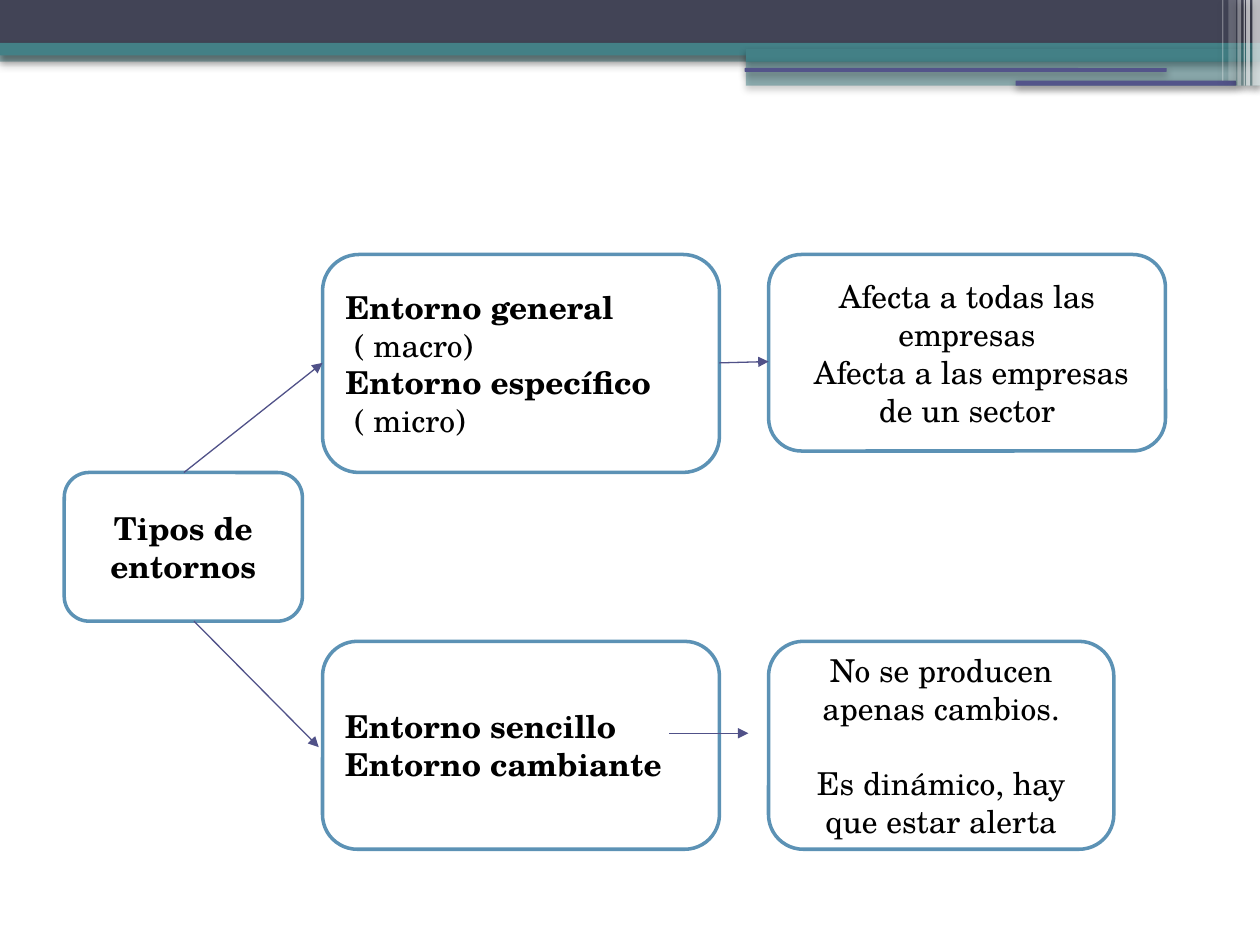
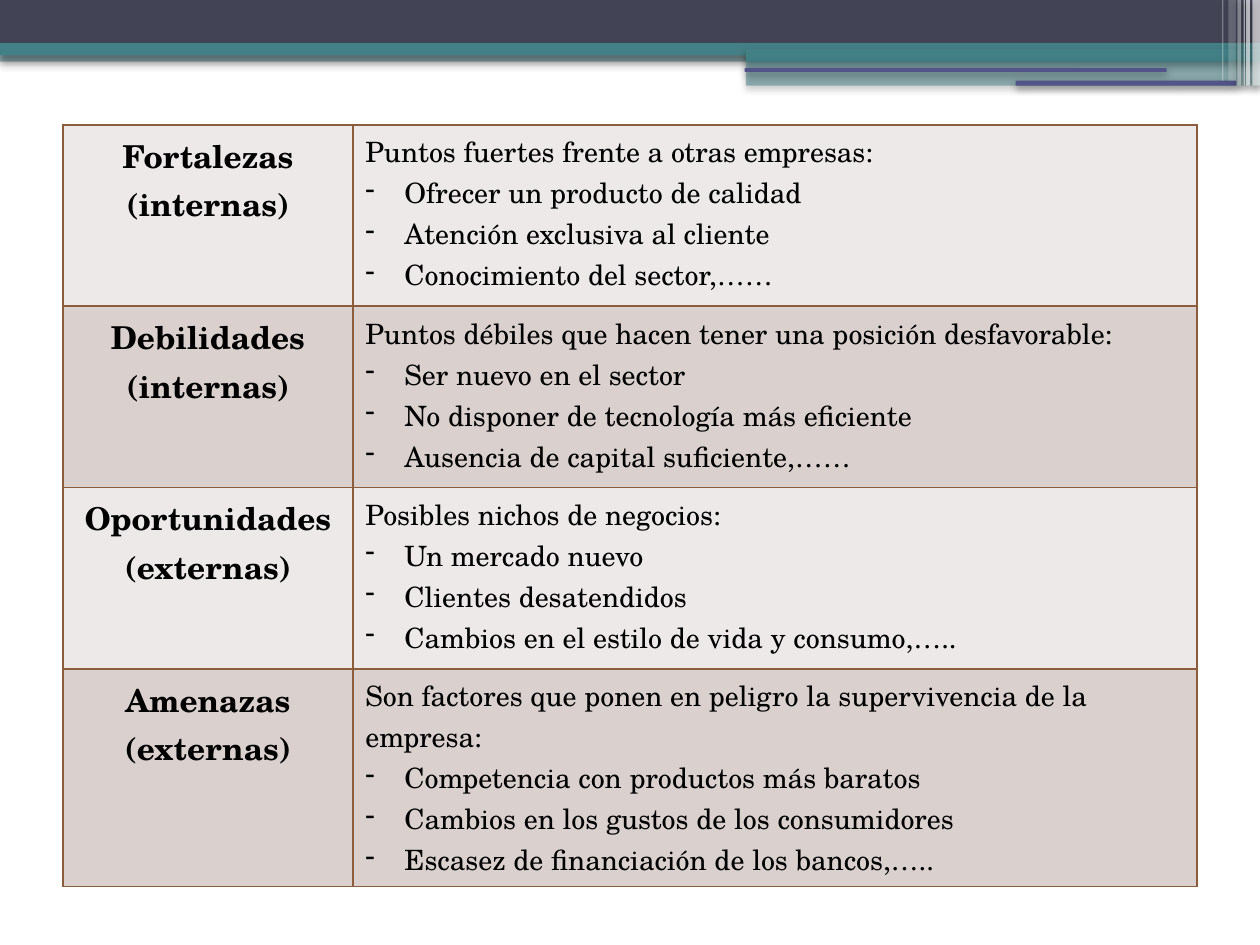
from lxml.etree import SubElement
from pptx import Presentation
from pptx.dml.color import RGBColor
from pptx.enum.shapes import MSO_CONNECTOR as Link, MSO_SHAPE as Shape
from pptx.enum.text import MSO_ANCHOR as Anchor, PP_ALIGN as Align
from pptx.oxml import parse_xml
from pptx.oxml.ns import nsdecls, qn
from pptx.util import Inches, Pt

FONT = "TeX Gyre Schola"
BLACK, WHITE = "000000", "FFFFFF"
SLATE, TEAL, PURPLE = "424456", "438086", "53548A"
BOX_LINE, ARROW, GRID = "5C92B5", "505188", "8B5D3D"
ROW_FILLS = ["EDE9E8", "DAD1CE"]

BANDS = [
    (0, 0.4, 10, 0.09, TEAL, 50),
    (0, 0, 10, 0.34, SLATE, 100),
    (0, 0.34, 10, 0.1, TEAL, 100),
    (5.92, 0.39, 4.08, 0.1, TEAL, 100),
    (5.92, 0.48, 4.08, 0.2, TEAL, 50),
]
RULES = [(5.91, 0.54, 3.35, 0.03), (8.06, 0.64, 1.75, 0.04)]
STRIPES = [
    (9.94, 0.06, 0.68, 66),
    (9.89, 0.03, 0.68, 66),
    (9.87, 0.01, 0.68, 60),
    (9.82, 0.03, 0.68, 40),
    (9.75, 0.06, 0.64, 20),
    (9.7, 0.01, 0.64, 31),
]

SWOT = [
    ("Fortalezas (internas)", "Puntos fuertes frente a otras empresas:",
     ["Ofrecer un producto de calidad",
      "Atención exclusiva al cliente",
      "Conocimiento del sector,……"]),
    ("Debilidades (internas)",
     "Puntos débiles que hacen tener una posición desfavorable:",
     ["Ser nuevo en el sector",
      "No disponer de tecnología más eficiente",
      "Ausencia de capital suficiente,……"]),
    ("Oportunidades (externas)", "Posibles nichos de negocios:",
     ["Un mercado nuevo",
      "Clientes desatendidos",
      "Cambios en el estilo de vida y consumo,….."]),
    ("Amenazas (externas)",
     "Son factores que ponen en peligro la supervivencia de la empresa:",
     ["Competencia con productos más baratos",
      "Cambios en los gustos de los consumidores",
      "Escasez de financiación de los bancos,….."]),
]


def color(value):
    return RGBColor.from_string(value)


def add_box(page, kind, left, top, width, height, fill):
    box = page.shapes.add_shape(
        kind, Inches(left), Inches(top), Inches(width), Inches(height))
    box.shadow.inherit = False
    box.fill.solid()
    box.fill.fore_color.rgb = color(fill)
    box.line.fill.background()
    return box


def add_band(page, kind, left, top, width, height, fill, opacity=100):
    band = add_box(page, kind, left, top, width, height, fill)
    properties = band.element.spPr
    if opacity < 100:
        tint = properties.find(qn("a:solidFill")).find(qn("a:srgbClr"))
        SubElement(tint, qn("a:alpha"), val=str(opacity * 1000))
    effects = properties.find(qn("a:effectLst"))
    shadow = SubElement(effects, qn("a:outerShdw"), blurRad=str(Pt(4.1)),
                        dist=str(Pt(2)), dir="5400000", rotWithShape="0")
    shade = SubElement(shadow, qn("a:srgbClr"), val=BLACK)
    SubElement(shade, qn("a:alpha"), val="40000")
    return band


def add_master_bands(deck, page):
    bands = [add_band(page, Shape.RECTANGLE, *band) for band in BANDS]
    bands += [add_band(page, Shape.ROUNDED_RECTANGLE, *rule, PURPLE)
              for rule in RULES]
    bands += [add_band(page, Shape.RECTANGLE, left, 0, width, height,
                       WHITE, opacity)
              for left, width, height, opacity in STRIPES]
    tree = deck.slide_master.element.cSld.spTree
    for number, band in enumerate(bands, 20):
        band.element.nvSpPr.cNvPr.set("id", str(number))
        tree.append(band.element)


def add_span(para, text, size, bold=False):
    span = para.add_run()
    span.text = text
    span.font.name = FONT
    span.font.size = Pt(size)
    span.font.bold = bold
    span.font.color.rgb = color(BLACK)


def add_para(frame, first, text, size, bold=False, align=Align.LEFT):
    para = frame.paragraphs[0] if first else frame.add_paragraph()
    para.alignment = align
    add_span(para, text, size, bold)
    return para


def add_text_box(page, left, top, width, height, lines,
                 align=Align.CENTER, gap=0):
    box = add_box(page, Shape.ROUNDED_RECTANGLE, left, top, width, height, WHITE)
    box.line.color.rgb = color(BOX_LINE)
    box.line.width = Pt(2)
    frame = box.text_frame
    frame.word_wrap = True
    frame.vertical_anchor = Anchor.MIDDLE
    for index, (text, bold) in enumerate(lines):
        para = add_para(frame, index == 0, text, 18, bold, align)
        if index and gap:
            para.space_before = Pt(gap)


def add_arrow(page, *ends):
    arrow = page.shapes.add_connector(Link.STRAIGHT, *map(Inches, ends))
    arrow.line.color.rgb = color(ARROW)
    arrow.line.width = Pt(0.75)
    outline = arrow.element.spPr.find(qn("a:ln"))
    SubElement(outline, qn("a:tailEnd"), type="triangle")
    SubElement(arrow.element.spPr, qn("a:effectLst"))


def add_dash(para):
    properties = para._p.get_or_add_pPr()
    properties.set("marL", str(Inches(0.31)))
    properties.set("indent", str(-Inches(0.31)))
    tint = SubElement(properties, qn("a:buClr"))
    SubElement(tint, qn("a:srgbClr"), val=BLACK)
    SubElement(properties, qn("a:buChar"), char="-")


def style_cell(cell, fill):
    cell.fill.solid()
    cell.fill.fore_color.rgb = color(fill)
    properties = cell._tc.get_or_add_tcPr()
    for index, side in enumerate("LRTB"):
        properties.insert(index, parse_xml(
            f'<a:ln{side} {nsdecls("a")} w="{Pt(0.96)}"><a:solidFill>'
            f'<a:srgbClr val="{GRID}"/></a:solidFill></a:ln{side}>'))


def add_swot_table(page):
    table = page.shapes.add_table(
        len(SWOT), 2, Inches(0.5), Inches(0.99), Inches(9), Inches(5.84)).table
    table.first_row = table.horz_banding = False
    for column, width in zip(table.columns, [2.3, 6.7]):
        column.width = Inches(width)
    for row, height in zip(table.rows, [1.44, 1.44, 1.44, 1.52]):
        row.height = Inches(height)
    for index, (heading, summary, points) in enumerate(SWOT):
        label, detail = table.rows[index].cells
        for cell in (label, detail):
            style_cell(cell, ROW_FILLS[index % 2])
        add_para(label.text_frame, True, heading, 18, True, Align.CENTER)
        add_para(detail.text_frame, True, summary, 16)
        for point in points:
            add_dash(add_para(detail.text_frame, False, point, 16))


def add_environment_map(page):
    middle, right, upper, lower = 2.56, 6.1, 2.02, 5.09
    add_text_box(page, 0.51, 3.75, 1.89, 1.18, [("Tipos de entornos", True)])
    add_text_box(page, middle, upper, 3.15, 1.73,
                 [("Entorno general", True), (" ( macro)", False),
                  ("Entorno específico", True), (" ( micro)", False)],
                 Align.LEFT)
    add_text_box(page, middle, lower, 3.15, 1.65,
                 [("Entorno sencillo", True), ("Entorno cambiante", True)],
                 Align.LEFT)
    add_text_box(page, right, upper, 3.15, 1.56,
                 [("Afecta a todas las empresas", False),
                  (" Afecta a las empresas de un sector", False)])
    add_text_box(page, right, lower, 2.74, 1.65,
                 [("No se producen apenas cambios.", False),
                  ("Es dinámico, hay que estar alerta", False)], gap=21.4)
    add_arrow(page, 1.46, 3.75, middle, 2.88)
    add_arrow(page, 1.54, 4.93, 2.53, 5.93)
    add_arrow(page, 5.71, 2.88, right, 2.87)
    add_arrow(page, 5.31, 5.82, 5.94, 5.82)


def main():
    deck = Presentation()
    deck.slide_width, deck.slide_height = Inches(10), Inches(7.5)
    blank = deck.slide_layouts[6]
    map_page = deck.slides.add_slide(blank)
    add_master_bands(deck, map_page)
    add_environment_map(map_page)
    add_swot_table(deck.slides.add_slide(blank))
    deck.save("out.pptx")


main()
